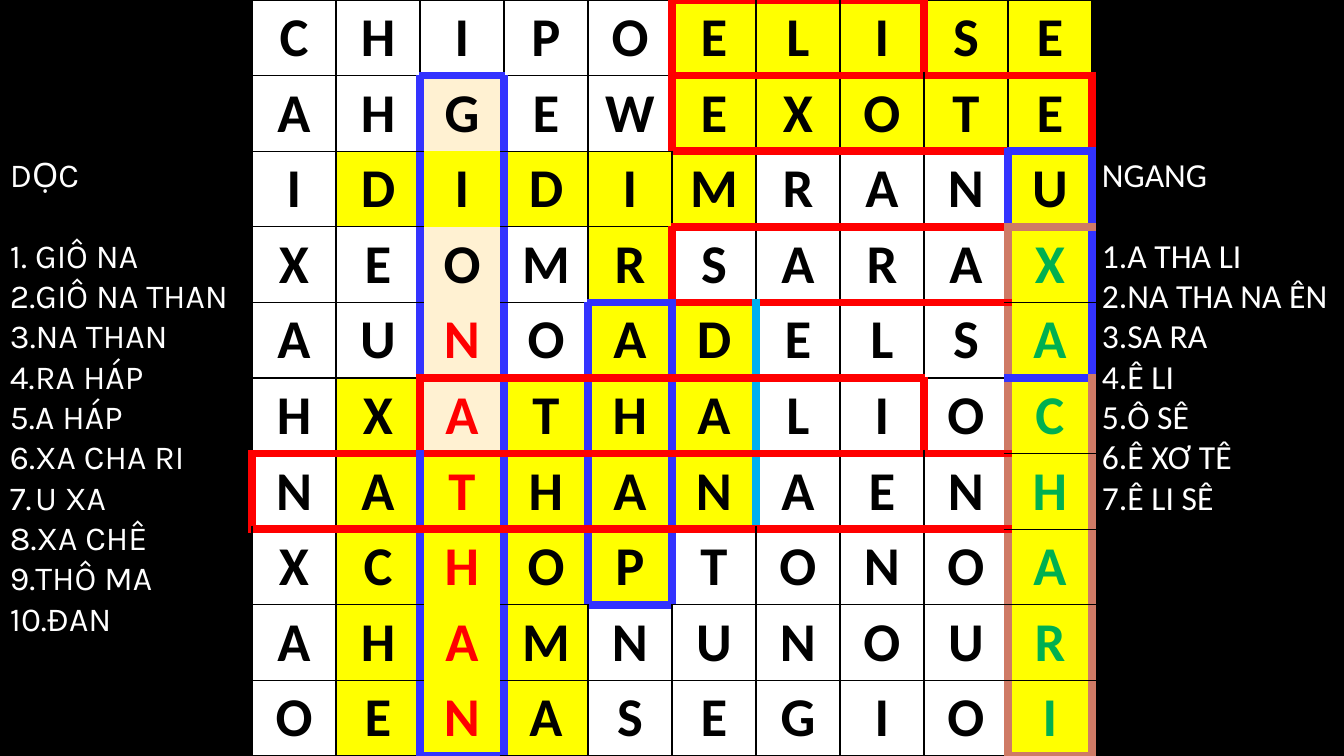
from dataclasses import dataclass
from itertools import product

from lxml import etree
from pptx import Presentation
from pptx.dml.color import RGBColor
from pptx.enum.shapes import MSO_SHAPE
from pptx.enum.text import MSO_ANCHOR, PP_ALIGN
from pptx.oxml.ns import qn
from pptx.util import Inches, Pt

RECT = MSO_SHAPE.RECTANGLE
TOP, MIDDLE = MSO_ANCHOR.TOP, MSO_ANCHOR.MIDDLE
LEFT, CENTER = PP_ALIGN.LEFT, PP_ALIGN.CENTER

BLACK = RGBColor(0x00, 0x00, 0x00)
WHITE = RGBColor(0xFF, 0xFF, 0xFF)
YELLOW = RGBColor(0xFF, 0xFF, 0x00)
CREAM = RGBColor(0xFF, 0xF1, 0xD2)
RED = RGBColor(0xFF, 0x00, 0x00)
BLUE = RGBColor(0x33, 0x33, 0xFF)
CYAN = RGBColor(0x00, 0xB0, 0xF0)
BROWN = RGBColor(0xCF, 0x7A, 0x65)
GREEN = RGBColor(0x00, 0xB0, 0x50)

WIDTH, HEIGHT = Inches(13.33), Inches(7.5)
COL, ROW = WIDTH / 16, HEIGHT / 10
SIZE = 10
TABLE_COL = 3
LINE = Pt(28.8)
INDENT = Inches(0.25)

LETTERS = (
    "CHIPOELISE", "AHGEWEXOTE", "IDIDIMRANU", "XEOMRSARAX", "AUNOADELSA",
    "HXATHALIOC", "NATHANAENH", "XCHOPTONOA", "AHAMNUNOUR", "OENASEGIOI",
)
FILLS = (
    "WWWWWYYYYY", "WWCWWYYYYY", "WYYYYYWWWY", "WWCWYWWWWY", "WWCWYYWWWY",
    "WYCYYYWWWY", "WYYYYYWWWY", "WYYYYWWWWY", "WYYYWWWWWY", "WYYYWWWWWY",
)
FILL_COLORS = {"W": WHITE, "Y": YELLOW, "C": CREAM}


@dataclass(frozen=True)
class WordList:
    title: str
    words: tuple[str, ...]
    font: str
    col: float
    row: float
    cols: float
    rows: float


@dataclass(frozen=True)
class Frame:
    color: RGBColor | None
    col: int
    row: int
    cols: int
    rows: int
    sides: str = "LRTB"


@dataclass(frozen=True)
class Edge:
    color: RGBColor | None = BLACK
    width: float = 1


WORD_LISTS = (
    WordList("NGANG", ("A THA LI", "NA THA NA ÊN", "SA RA", "Ê LI", "Ô SÊ",
                       "Ê XƠ TÊ", "Ê LI SÊ"), "Calibri", 13, 1.97, 3, 4.99),
    WordList("DỌC", ("GIÔ NA", "GIÔ NA THAN", "NA THAN", "RA HÁP", "A HÁP",
                     "XA CHA RI", "U XA", "XA CHÊ", "THÔ MA", "ĐAN"),
             "Karla", 0, 1.97, 8, 6.6),
)

FRAMES = (
    *(Frame(None, 2, row, 1, 1, "B") for row in (1, 2, 3, 7, 8)),
    Frame(RED, 5, 0, 3, 1),
    Frame(RED, 5, 1, 5, 1),
    Frame(RED, 5, 3, 4, 1),
    Frame(BLUE, 2, 1, 1, 9),
    Frame(RED, 2, 5, 6, 1),
    Frame(RED, 0, 6, 9, 1),
    Frame(BLUE, 4, 4, 1, 4),
    Frame(CYAN, 5, 4, 1, 3, "R"),
    Frame(BLUE, 9, 2, 1, 3),
    Frame(BROWN, 9, 3, 1, 7, "LTB"),
    Frame(BROWN, 9, 5, 1, 5, "R"),
)


def edge_key(side: str, row: int, col: int) -> tuple[str, int, int]:
    if side in "LR":
        return "V", row, col + (side == "R")
    return "H", row + (side == "B"), col


def collect_edges(frames: tuple[Frame, ...]) -> dict[tuple[str, int, int], Edge]:
    edges = {}
    for f in frames:
        rows = range(f.row, f.row + f.rows)
        cols = range(f.col, f.col + f.cols)
        on_side = {
            "L": product(rows, cols[:1]), "R": product(rows, cols[-1:]),
            "T": product(rows[:1], cols), "B": product(rows[-1:], cols),
        }
        for side in f.sides:
            for row, col in on_side[side]:
                edges[edge_key(side, row, col)] = Edge(f.color, 6)
    return edges


def add_text(p, text: str, *, font: str, size: float, color: RGBColor,
             bold: bool = False, align: PP_ALIGN = LEFT) -> None:
    p.alignment = align
    r = p.add_run()
    r.text = text
    r.font.name = font
    r.font.size = Pt(size)
    r.font.bold = bold
    r.font.color.rgb = color


def number(p) -> None:
    pPr = p._p.get_or_add_pPr()
    pPr.set("marL", str(INDENT))
    pPr.set("indent", str(-INDENT))
    etree.SubElement(pPr, qn("a:buFont"), typeface="+mj-lt")
    etree.SubElement(pPr, qn("a:buAutoNum"), type="arabicPeriod")


def draw_word_list(s, item: WordList) -> None:
    sp = s.shapes.add_shape(RECT, int(item.col * COL), int(item.row * ROW),
                            int(item.cols * COL), int(item.rows * ROW))
    sp.shadow.inherit = False
    sp.fill.solid()
    sp.fill.fore_color.rgb = BLACK
    sp.line.fill.background()
    tf = sp.text_frame
    tf.word_wrap = True
    tf.vertical_anchor = TOP
    for i, text in enumerate((item.title, *item.words)):
        p = tf.add_paragraph() if i else tf.paragraphs[0]
        p.line_spacing = LINE
        p.space_before = LINE if i == 1 else Pt(0)
        add_text(p, text, font=item.font, size=24, color=WHITE)
        if i:
            number(p)


def draw_edge(cell, side: str, edge: Edge) -> None:
    tcPr = cell._tc.get_or_add_tcPr()
    ln = etree.SubElement(tcPr, qn(f"a:ln{side}"), w=str(Pt(edge.width)))
    if edge.color is None:
        etree.SubElement(ln, qn("a:noFill"))
    else:
        fill = etree.SubElement(ln, qn("a:solidFill"))
        etree.SubElement(fill, qn("a:srgbClr"), val=str(edge.color))


def letter_color(row: int, col: int) -> RGBColor:
    if col == 2 and row >= 4:
        return RED
    if col == 9 and row >= 3:
        return GREEN
    return BLACK


def draw_puzzle(s) -> None:
    table = s.shapes.add_table(SIZE, SIZE, int(TABLE_COL * COL), 0,
                               int(SIZE * COL), HEIGHT).table
    table.first_row = False
    table.horz_banding = False
    edges = collect_edges(FRAMES)
    for row, col in product(range(SIZE), repeat=2):
        cell = table.cell(row, col)
        cell.margin_top = cell.margin_bottom = 0
        cell.vertical_anchor = MIDDLE
        for side in "LRTB":
            draw_edge(cell, side, edges.get(edge_key(side, row, col), Edge()))
        cell.fill.solid()
        cell.fill.fore_color.rgb = FILL_COLORS[FILLS[row][col]]
        add_text(cell.text_frame.paragraphs[0], LETTERS[row][col],
                 font="Calibri", size=39, color=letter_color(row, col),
                 bold=True, align=CENTER)


def main() -> None:
    prs = Presentation()
    prs.slide_width, prs.slide_height = WIDTH, HEIGHT
    s = prs.slides.add_slide(prs.slide_layouts[6])
    s.background.fill.solid()
    s.background.fill.fore_color.rgb = BLACK
    for item in WORD_LISTS:
        draw_word_list(s, item)
    draw_puzzle(s)
    prs.save("out.pptx")


if __name__ == "__main__":
    main()
